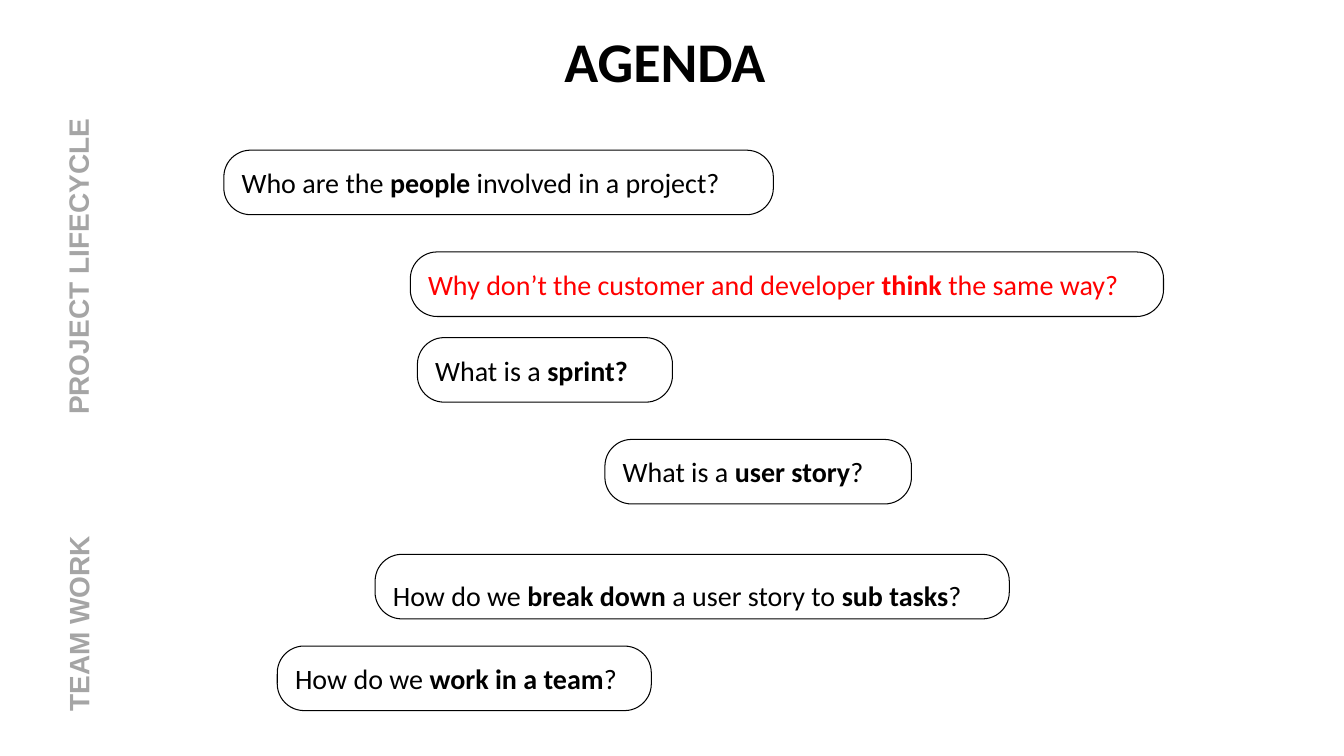
import pptx
import pptx.util
import pptx.dml.color
import pptx.enum.shapes
import pptx.enum.text

SCALE = 9144
BLACK = pptx.dml.color.RGBColor(0x00, 0x00, 0x00)
WHITE = pptx.dml.color.RGBColor(0xFF, 0xFF, 0xFF)
RED = pptx.dml.color.RGBColor(0xFF, 0x00, 0x00)
GREY = pptx.dml.color.RGBColor(0xA5, 0xA5, 0xA5)

TOPICS = [
    (222, 149, 545, BLACK, 1, ["Who are the ", "people", " involved in a project?"]),
    (407, 250, 747, RED, 1,
     ["Why don’t the customer and developer", " think ", "the same way?"]),
    (414, 335, 253, BLACK, 1, ["What is a ", "sprint?"]),
    (600, 436, 304, BLACK, 1, ["What is a ", "user story", "?"]),
    (372, 550, 629, BLACK, 1.5,
     ["How do we ", "break down ", "a user story to ", "sub tasks", "?"]),
    (275, 641, 371, BLACK, 1, ["How do we ", "work in a team", "?"]),
]


def px(count):
    return pptx.util.Emu(count * SCALE)


def add_run(para, text, size, face, color, bold):
    run = para.add_run()
    run.text = text
    run.font.size = pptx.util.Pt(size)
    run.font.name = face
    run.font.color.rgb = color
    run.font.bold = bold


def add_label(slide, left, top, width, height, text, size, face, color, turn=0):
    box = slide.shapes.add_textbox(px(left), px(top), px(width), px(height))
    box.rotation = turn
    frame = box.text_frame
    frame.word_wrap = True
    frame.auto_size = pptx.enum.text.MSO_AUTO_SIZE.SHAPE_TO_FIT_TEXT
    add_run(frame.paragraphs[0], text, size, face, color, True)


def add_topic(slide, left, top, width, color, space, parts):
    pill = slide.shapes.add_shape(
        pptx.enum.shapes.MSO_SHAPE.ROUNDED_RECTANGLE,
        px(left), px(top), px(width), px(64))
    pill.adjustments[0] = 0.415
    pill.shadow.inherit = False
    pill.fill.solid()
    pill.fill.fore_color.rgb = WHITE
    pill.line.color.rgb = BLACK
    pill.line.width = pptx.util.Pt(0.75)
    frame = pill.text_frame
    frame.word_wrap = True
    frame.vertical_anchor = pptx.enum.text.MSO_ANCHOR.MIDDLE
    para = frame.paragraphs[0]
    para.alignment = pptx.enum.text.PP_ALIGN.LEFT
    para.line_spacing = float(space)
    for index, text in enumerate(parts):
        add_run(para, text, 20, "Calibri", color, index % 2 == 1)


def main():
    deck = pptx.Presentation()
    deck.slide_width = px(1333)
    deck.slide_height = px(750)
    slide = deck.slides.add_slide(deck.slide_layouts[6])
    add_label(slide, 550, 21, 239, 77, "AGENDA", 40, "Calibri", BLACK)
    add_label(slide, -85, 237, 325, 44, "PROJECT LIFECYCLE", 20, "Arial", GREY, 270)
    add_label(slide, -24, 592, 204, 44, "TEAM WORK", 20, "Arial", GREY, 270)
    for topic in TOPICS:
        add_topic(slide, *topic)
    deck.save("out.pptx")


if __name__ == "__main__":
    main()
